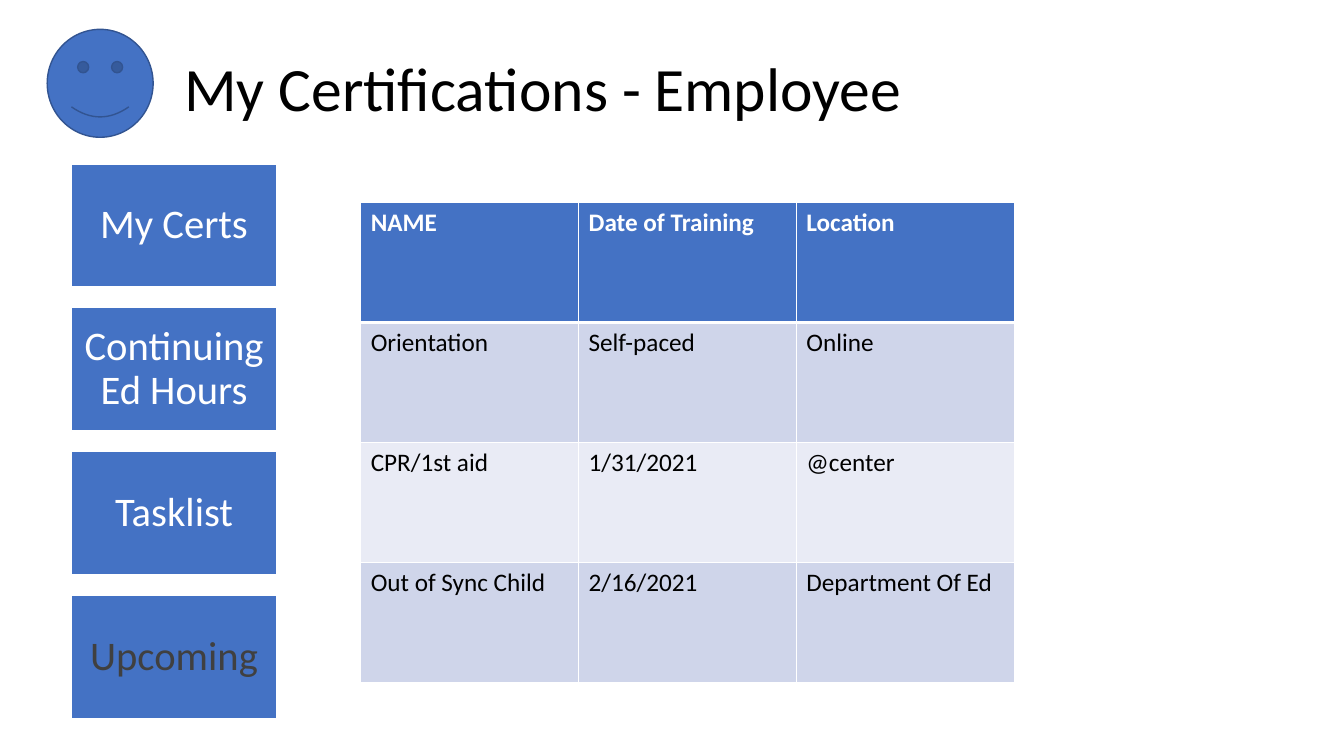
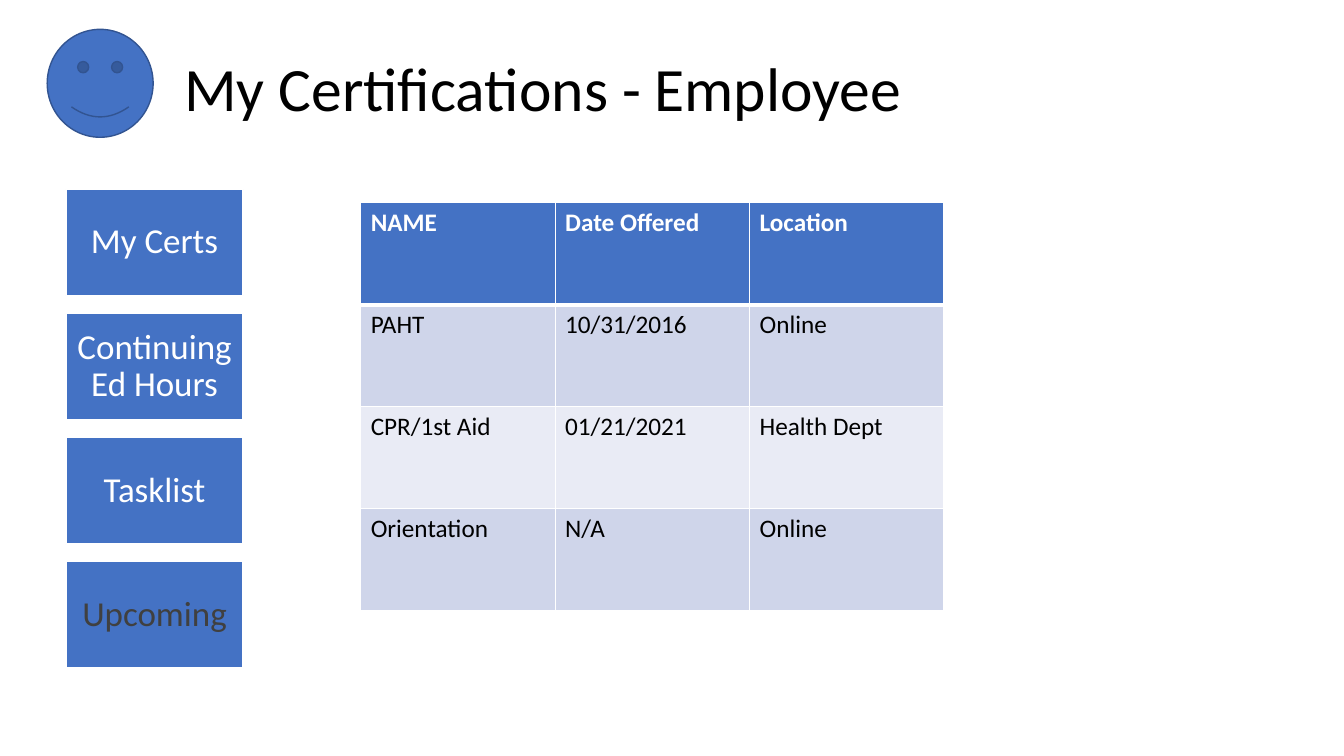
import pptx
import pptx.dml.color
import pptx.enum.shapes
import pptx.enum.text
import pptx.oxml
import pptx.oxml.ns
import pptx.util

Cm = pptx.util.Cm
Pt = pptx.util.Pt
ALIGN = pptx.enum.text.PP_ALIGN
ANCHOR = pptx.enum.text.MSO_ANCHOR
SHAPE = pptx.enum.shapes.MSO_SHAPE

# Shared look
FONT = "Calibri"
BLACK, WHITE, GREY = "000000", "FFFFFF", "404040"
BLUE, DARK_BLUE = "4472C4", "325491"
BANDS = ("E9EBF5", "CFD5EA")
TITLE = "My Certifications - Employee"
MENU = ("My Certs", "Continuing Ed Hours", "Tasklist", "Upcoming")
CURRENT_ITEM = "Upcoming"

# What differs between the slides; lengths in centimetres
PAGES = (
    {
        "menu": {"left": 1.8, "top": 4.13, "width": 5.18, "inset": 0.29, "size": 29},
        "column_width": 5.49,
        "row_height": 3.02,
        "rows": (
            ("NAME", "Date of Training", "Location"),
            ("Orientation", "Self-paced", "Online"),
            ("CPR/1st aid", "1/31/2021", "@center"),
            ("Out of Sync Child", "2/16/2021", "Department Of Ed"),
        ),
    },
    {
        "menu": {"left": 1.66, "top": 4.77, "width": 4.47, "inset": 0.25, "size": 25},
        "column_width": 4.9,
        "row_height": 2.57,
        "rows": (
            ("NAME", "Date Offered", "Location"),
            ("PAHT", "10/31/2016", "Online"),
            ("CPR/1st Aid", "01/21/2021", "Health Dept"),
            ("Orientation", "N/A", "Online"),
        ),
    },
)


def rgb(value):
    return pptx.dml.color.RGBColor.from_string(value)


def set_attributes(target, values):
    for name, value in values.items():
        setattr(target, name, value)


def write_text(frame, text, size, color, bold=False, **paragraph_format):
    frame.text = text
    paragraph = frame.paragraphs[0]
    set_attributes(paragraph, paragraph_format)
    font = paragraph.runs[0].font
    set_attributes(font, {"name": FONT, "size": Pt(size), "bold": bold})
    font.color.rgb = rgb(color)


def add_title(slide, text):
    title = slide.shapes.title
    set_attributes(title, {"left": Cm(4.39), "top": Cm(0.46),
                           "width": Cm(29.21), "height": Cm(3.68)})
    title.text_frame.vertical_anchor = ANCHOR.MIDDLE
    write_text(title.text_frame, text, 44, BLACK,
               alignment=ALIGN.LEFT, line_spacing=0.9)


def add_blue_shape(slide, kind, left, top, width, height, line_color):
    shape = slide.shapes.add_shape(kind, Cm(left), Cm(top), Cm(width), Cm(height))
    shape.shadow.inherit = False
    shape.fill.solid()
    shape.fill.fore_color.rgb = rgb(BLUE)
    shape.line.color.rgb = rgb(line_color)
    shape.line.width = Pt(1)
    return shape


def add_menu(slide, left, top, width, inset, size):
    # Buttons are 0.6 of their width high, with gaps of 0.1
    for index, label in enumerate(MENU):
        button = add_blue_shape(slide, SHAPE.RECTANGLE, left,
                                top + index * 0.7 * width, width, 0.6 * width, WHITE)
        frame = button.text_frame
        set_attributes(frame, {"word_wrap": True, "vertical_anchor": ANCHOR.MIDDLE})
        set_attributes(frame, {f"margin_{side}": Cm(inset)
                               for side in ("left", "top", "right", "bottom")})
        write_text(frame, label, size, GREY if label == CURRENT_ITEM else WHITE,
                   alignment=ALIGN.CENTER, line_spacing=0.9)


def set_borders(cell, top, bottom):
    properties = cell._tc.get_or_add_tcPr()
    for side, width in (("L", 1), ("R", 1), ("T", top), ("B", bottom)):
        properties.append(pptx.oxml.parse_xml(
            f'<a:ln{side} {pptx.oxml.ns.nsdecls("a")} w="{Pt(width)}">'
            f'<a:solidFill><a:srgbClr val="{WHITE}"/></a:solidFill></a:ln{side}>'))


def add_training_table(slide, rows, column_width, row_height):
    column_count = len(rows[0])
    table = slide.shapes.add_table(
        len(rows), column_count, Cm(9.09), Cm(5.11),
        Cm(column_width * column_count), Cm(row_height * len(rows))).table
    for column in table.columns:
        column.width = Cm(column_width)
    for row_index, texts in enumerate(rows):
        table.rows[row_index].height = Cm(row_height)
        header = row_index == 0
        for column_index, text in enumerate(texts):
            cell = table.cell(row_index, column_index)
            # A thick rule parts the header from the body
            set_borders(cell, 3 if row_index == 1 else 1, 3 if header else 1)
            cell.fill.solid()
            cell.fill.fore_color.rgb = rgb(BLUE if header else BANDS[row_index % 2])
            write_text(cell.text_frame, text, 18, WHITE if header else BLACK, header)


def main():
    presentation = pptx.Presentation()
    presentation.slide_width = Cm(33.87)
    presentation.slide_height = Cm(19.05)
    for page in PAGES:
        slide = presentation.slides.add_slide(presentation.slide_layouts[5])
        add_title(slide, TITLE)
        add_training_table(slide, page["rows"], page["column_width"], page["row_height"])
        add_blue_shape(slide, SHAPE.SMILEY_FACE, 1.19, 0.74, 2.67, 2.72, DARK_BLUE)
        add_menu(slide, **page["menu"])
    presentation.save("out.pptx")


if __name__ == "__main__":
    main()
